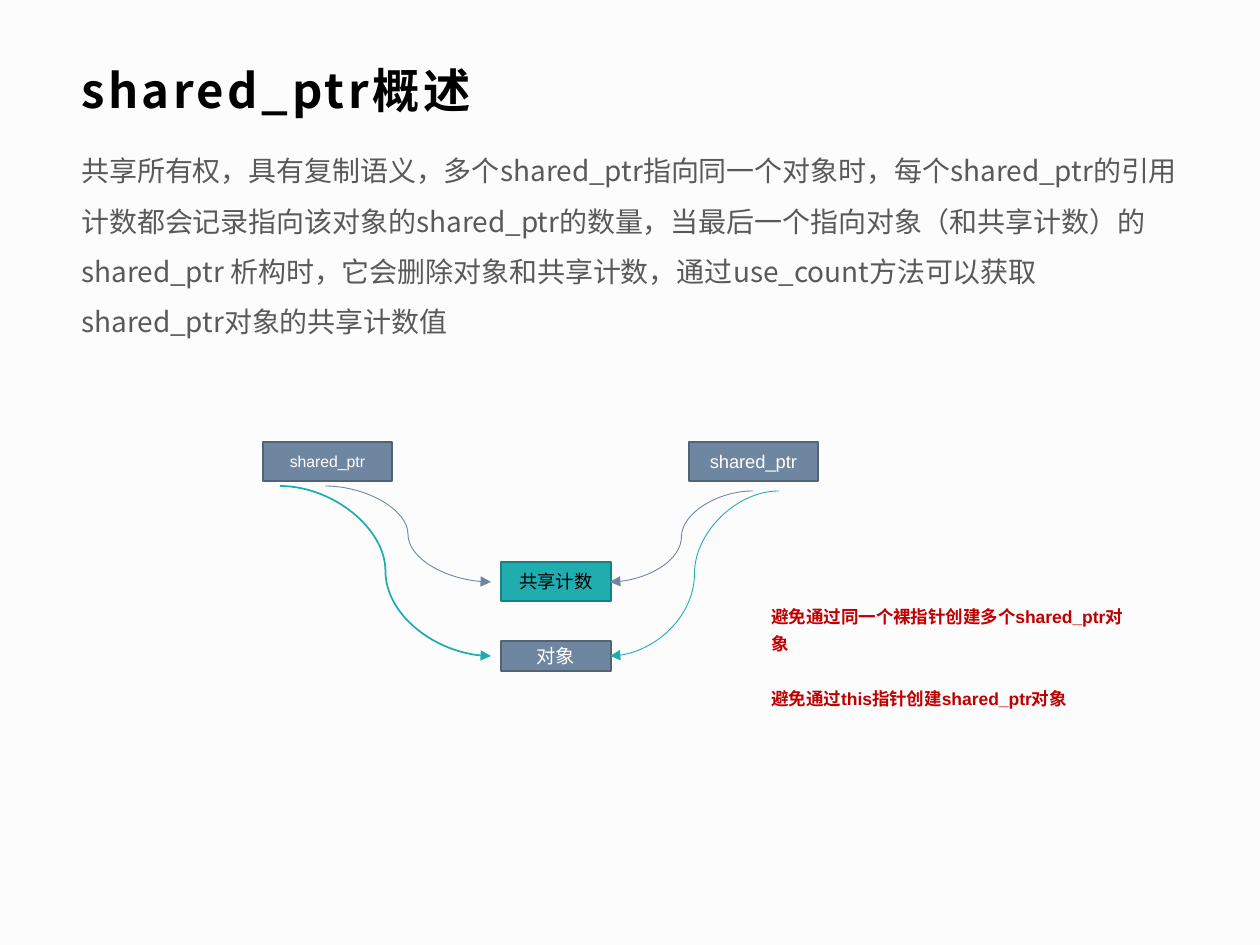
"""Build the slide that gives an overview of shared_ptr."""
import dataclasses

import pptx
import pptx.dml.color
import pptx.enum.shapes
import pptx.enum.text
import pptx.oxml.ns
import pptx.oxml.xmlchemy
import pptx.util
import lxml.etree

RGB = pptx.dml.color.RGBColor
PAPER = RGB(0xFC, 0xFC, 0xFD)
BLACK = RGB(0x00, 0x00, 0x00)
WHITE = RGB(0xFF, 0xFF, 0xFF)
GREY = RGB(0x59, 0x59, 0x59)
RED = RGB(0xC0, 0x00, 0x00)
SLATE = RGB(0x6F, 0x86, 0xA0)
SLATE_EDGE = RGB(0x52, 0x63, 0x76)
TEAL = RGB(0x20, 0xAD, 0xB0)
TEAL_EDGE = RGB(0x18, 0x80, 0x82)

SANS = "Noto Sans CJK SC"
ARIAL = "Arial"
MIDDLE = pptx.enum.text.MSO_ANCHOR.MIDDLE
TOP = pptx.enum.text.MSO_ANCHOR.TOP
QN = pptx.oxml.ns.qn


def px(count: int) -> int:
    """Turn pixels into EMU."""
    return round(count * 914400 / 126)


@dataclasses.dataclass
class Type:
    """Look of a text."""
    size: float
    color: RGB
    face: str = ARIAL
    bold: bool = False
    track: int = 0


@dataclasses.dataclass
class Line:
    """A paragraph and its spacing."""
    text: str
    pitch: float = 1.0
    before: int = 0


@dataclasses.dataclass
class Note:
    """A plain text area."""
    area: tuple[int, int, int, int]
    type: Type
    lines: list[Line]
    anchor: pptx.enum.text.MSO_ANCHOR = TOP


@dataclasses.dataclass
class Node:
    """A labelled box of the diagram."""
    area: tuple[int, int, int, int]
    text: str
    size: float
    ink: RGB = WHITE
    fill: RGB = SLATE
    edge: RGB = SLATE_EDGE


@dataclasses.dataclass
class Link:
    """A curved arrow."""
    start: tuple[int, int]
    end: tuple[int, int]
    color: RGB
    width: float = 0.5


NOTES = [
    Note((69, 60, 1121, 60), Type(27, BLACK, SANS, True, 200),
         [Line("shared_ptr概述")], MIDDLE),
    Note((69, 131, 1121, 742), Type(16, GREY, SANS),
         [Line("共享所有权，具有复制语义，多个shared_ptr指向同一个对象时，"
               "每个shared_ptr的引用计数都会记录指向该对象的shared_ptr的数量，"
               "当最后一个指向对象（和共享计数）的 shared_ptr 析构时，"
               "它会删除对象和共享计数，通过use_count方法可以获取"
               "shared_ptr对象的共享计数值", 1.5)]),
    Note((759, 593, 383, 155), Type(10, RED, bold=True),
         [Line("避免通过同一个裸指针创建多个shared_ptr对象", 1.3),
          Line("避免通过this指针创建shared_ptr对象", 1.4, 15)]),
]
NODES = [
    Node((263, 442, 129, 39), "shared_ptr", 9),
    Node((689, 442, 129, 39), "shared_ptr", 10.5),
    Node((501, 562, 110, 39), "共享计数", 10.5, BLACK, TEAL, TEAL_EDGE),
    Node((501, 641, 110, 30), "对象", 11),
]
LINKS = [
    Link((325, 486), (491, 582), SLATE),
    Link((753, 491), (610, 582), SLATE),
    Link((280, 486), (491, 656), TEAL, 1),
    Link((779, 491), (610, 656), TEAL),
]


def style(par, look: Type) -> None:
    """Set the font of a paragraph."""
    font = par.font
    font.name = look.face
    font.size = pptx.util.Pt(look.size)
    font.bold = look.bold
    font.color.rgb = look.color


def draw_note(slide, note: Note) -> None:
    """Draw a text area."""
    box = slide.shapes.add_textbox(*map(px, note.area))
    frame = box.text_frame
    frame.word_wrap = True
    frame.vertical_anchor = note.anchor
    frame.text = "\n".join(line.text for line in note.lines)
    for par, line in zip(frame.paragraphs, note.lines):
        par.line_spacing = line.pitch
        if line.before:
            par.space_before = pptx.util.Pt(line.before)
        style(par, note.type)
    if note.type.track:
        for prop in box.element.iter(QN("a:defRPr"), QN("a:rPr")):
            prop.set("spc", str(note.type.track))


def draw_node(slide, node: Node) -> None:
    """Draw a labelled box."""
    kind = pptx.enum.shapes.MSO_SHAPE.RECTANGLE
    box = slide.shapes.add_shape(kind, *map(px, node.area))
    box.shadow.inherit = False
    box.fill.solid()
    box.fill.fore_color.rgb = node.fill
    box.line.color.rgb = node.edge
    box.line.width = pptx.util.Pt(1)
    frame = box.text_frame
    frame.vertical_anchor = MIDDLE
    frame.text = node.text
    par = frame.paragraphs[0]
    par.alignment = pptx.enum.text.PP_ALIGN.CENTER
    style(par, Type(node.size, node.ink))


def draw_link(slide, link: Link) -> None:
    """Draw a curved arrow."""
    kind = pptx.enum.shapes.MSO_CONNECTOR.CURVE
    curve = slide.shapes.add_connector(kind, *map(px, link.start + link.end))
    curve.line.color.rgb = link.color
    curve.line.width = pptx.util.Pt(link.width)
    props = curve.element.spPr
    tail = lxml.etree.SubElement(props.find(QN("a:ln")), QN("a:tailEnd"))
    tail.set("type", "triangle")
    lxml.etree.SubElement(props, QN("a:effectLst"))


def main() -> None:
    """Build and save the slide."""
    deck = pptx.Presentation()
    deck.slide_width, deck.slide_height = px(1260), px(945)
    slide = deck.slides.add_slide(deck.slide_layouts[6])
    slide.background.fill.solid()
    slide.background.fill.fore_color.rgb = PAPER
    for note in NOTES:
        draw_note(slide, note)
    for node in NODES:
        draw_node(slide, node)
    for link in LINKS:
        draw_link(slide, link)
    deck.save("out.pptx")


if __name__ == "__main__":
    main()
